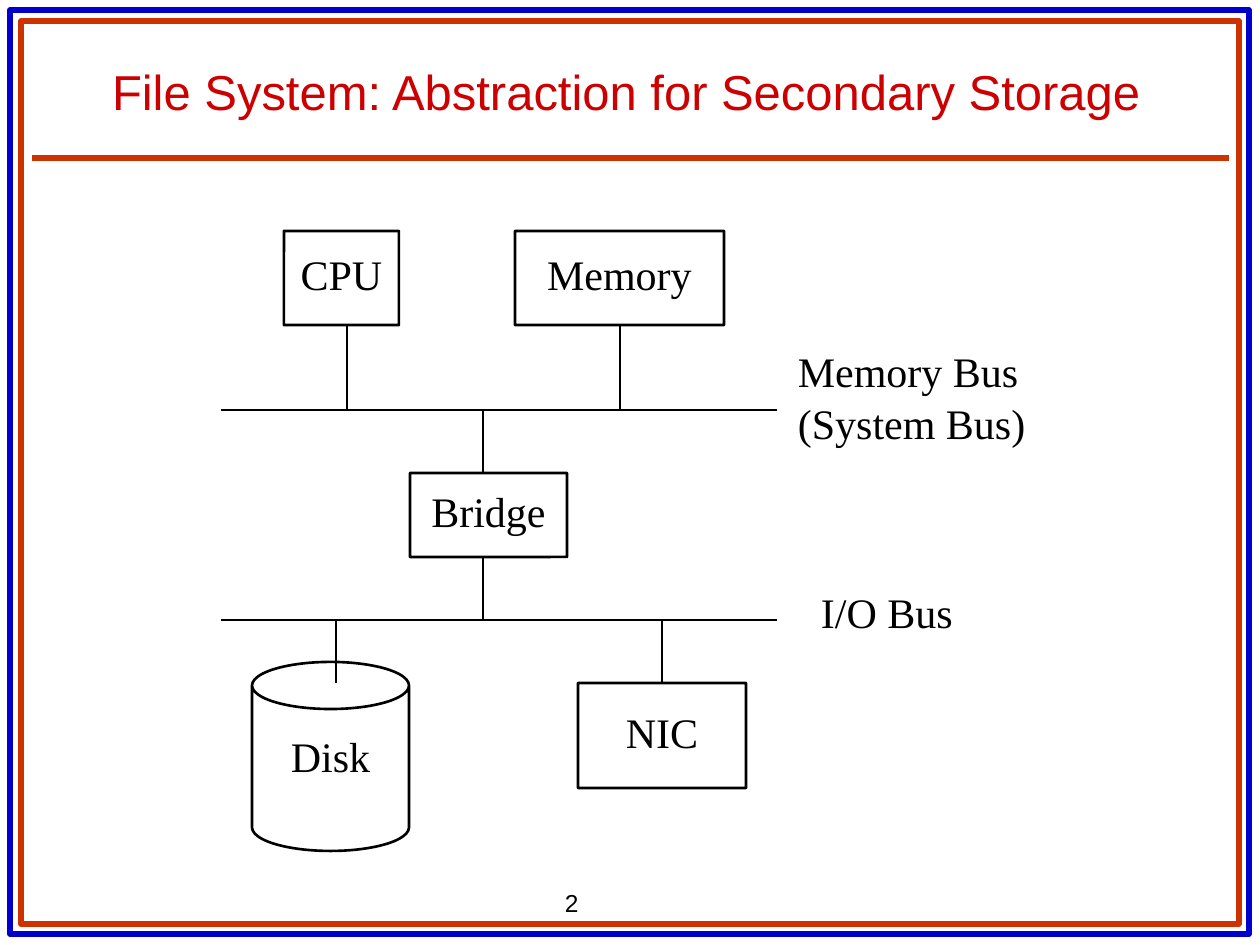
from typing import NamedTuple

from lxml.etree import SubElement
from pptx import Presentation
from pptx.dml.color import RGBColor
from pptx.enum.shapes import MSO_CONNECTOR, MSO_SHAPE
from pptx.enum.text import MSO_ANCHOR, PP_ALIGN
from pptx.oxml.ns import qn
from pptx.util import Emu, Pt

PX_PER_INCH = 126
BLACK = RGBColor(0x00, 0x00, 0x00)
BLUE = RGBColor(0x00, 0x00, 0xCC)
ORANGE = RGBColor(0xCC, 0x33, 0x00)
RED = RGBColor(0xCC, 0x00, 0x00)
SANS = "Arial"
SERIF = "Times New Roman"


class Rect(NamedTuple):
    x: int
    y: int
    w: int
    h: int


class Node(NamedTuple):
    text: str
    rect: Rect
    kind: MSO_SHAPE = MSO_SHAPE.ROUNDED_RECTANGLE
    adj: float = 0.002
    bottom: int = 6


class Wire(NamedTuple):
    x1: int
    y1: int
    x2: int
    y2: int
    color: RGBColor = BLACK
    width: float = 1.5


class Label(NamedTuple):
    text: str
    rect: Rect
    font: str = SERIF
    size: int = 24
    color: RGBColor = BLACK
    align: PP_ALIGN = PP_ALIGN.LEFT
    anchor: MSO_ANCHOR = MSO_ANCHOR.TOP
    margin: int = 2
    wrap: bool = True
    spacing: float = 0.85
    before: float = 5.4


MEMORY_BUS_Y = 410
IO_BUS_Y = 620
BUS_LEFT, BUS_RIGHT = 221, 777
BRIDGE_X = 483

FRAMES = [
    (Rect(10, 10, 1239, 924), BLUE),
    (Rect(21, 21, 1218, 903), ORANGE),
]
NODES = [
    Node("CPU", Rect(284, 231, 115, 94)),
    Node("Memory", Rect(515, 231, 209, 94)),
    Node("Bridge", Rect(410, 473, 157, 84)),
    Node("Disk", Rect(252, 662, 157, 189), MSO_SHAPE.CAN, 0.3, 24),
    Node("NIC", Rect(578, 683, 168, 105)),
]
WIRES = [
    Wire(32, 158, 1229, 158, ORANGE, 3),
    Wire(BUS_LEFT, MEMORY_BUS_Y, BUS_RIGHT, MEMORY_BUS_Y),
    Wire(BUS_LEFT, IO_BUS_Y, BUS_RIGHT, IO_BUS_Y),
    Wire(347, 325, 347, MEMORY_BUS_Y),
    Wire(620, 325, 620, MEMORY_BUS_Y),
    Wire(BRIDGE_X, MEMORY_BUS_Y, BRIDGE_X, 473),
    Wire(BRIDGE_X, 557, BRIDGE_X, IO_BUS_Y),
    Wire(336, IO_BUS_Y, 336, 683),
    Wire(662, IO_BUS_Y, 662, 683),
]
LABELS = [
    Label("File System: Abstraction for Secondary Storage", Rect(55, 32, 1142, 94),
          SANS, 28, RED, PP_ALIGN.CENTER, MSO_ANCHOR.BOTTOM, 13, True, 1, 0),
    Label("Memory Bus\n(System Bus)", Rect(796, 347, 253, 117)),
    Label("I/O Bus", Rect(819, 588, 158, 63)),
    Label("2", Rect(552, 882, 137, 43), SANS, 14, margin=13, wrap=False,
          spacing=1, before=0),
]


def px(n: int) -> Emu:
    return Emu(round(n * 914400 / PX_PER_INCH))


def add_outline(s, kind: MSO_SHAPE, rect: Rect, color: RGBColor, width: float):
    sp = s.shapes.add_shape(kind, *map(px, rect))
    sp.shadow.inherit = False
    sp.fill.background()
    sp.line.color.rgb = color
    sp.line.width = Pt(width)
    return sp


def write(sp, label: Label, bottom: int = 6) -> None:
    tf = sp.text_frame
    tf.text = label.text
    tf.word_wrap = label.wrap
    tf.vertical_anchor = label.anchor
    tf.margin_left = tf.margin_right = px(label.margin)
    tf.margin_top, tf.margin_bottom = px(6), px(bottom)
    for p in tf.paragraphs:
        p.alignment = label.align
        p.line_spacing = label.spacing
        p.space_before = Pt(label.before)
        for r in p.runs:
            r.font.name = label.font
            r.font.size = Pt(label.size)
            r.font.color.rgb = label.color


def add_node(s, node: Node) -> None:
    sp = add_outline(s, node.kind, node.rect, BLACK, 1.5)
    sp.adjustments[0] = node.adj
    label = Label(node.text, node.rect, align=PP_ALIGN.CENTER, anchor=MSO_ANCHOR.MIDDLE)
    write(sp, label, node.bottom)


def add_wire(s, wire: Wire) -> None:
    ends = map(px, (wire.x1, wire.y1, wire.x2, wire.y2))
    cxn = s.shapes.add_connector(MSO_CONNECTOR.STRAIGHT, *ends)
    cxn.line.color.rgb = wire.color
    cxn.line.width = Pt(wire.width)
    SubElement(cxn._element.spPr, qn("a:effectLst"))


def add_label(s, label: Label) -> None:
    write(s.shapes.add_textbox(*map(px, label.rect)), label)


def main() -> None:
    prs = Presentation()
    prs.slide_width, prs.slide_height = px(1260), px(945)
    s = prs.slides.add_slide(prs.slide_layouts[6])
    for rect, color in FRAMES:
        add_outline(s, MSO_SHAPE.RECTANGLE, rect, color, 3)
    for node in NODES:
        add_node(s, node)
    for wire in WIRES:
        add_wire(s, wire)
    for label in LABELS:
        add_label(s, label)
    prs.save("out.pptx")


if __name__ == "__main__":
    main()
